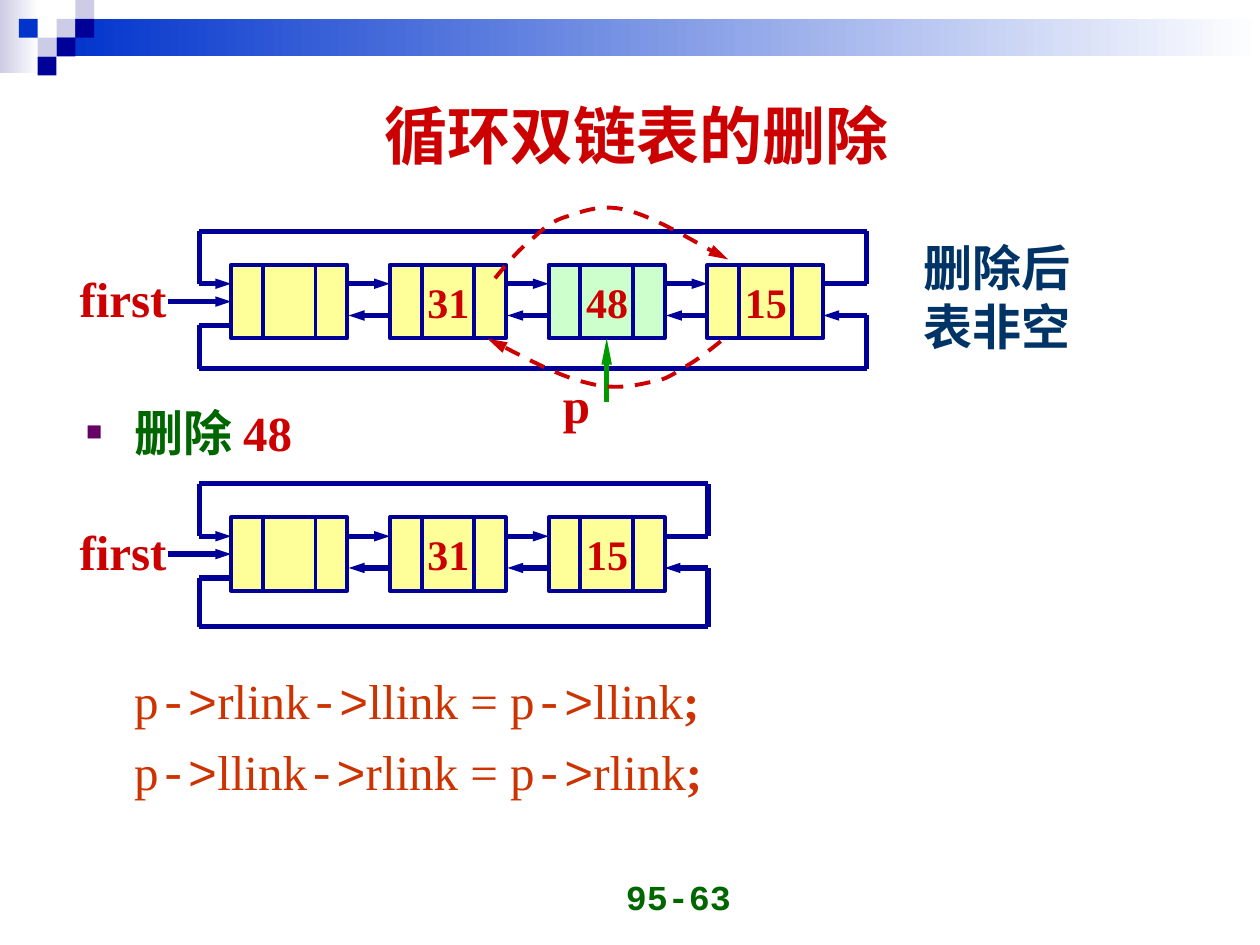
from itertools import pairwise

from lxml.etree import SubElement
from pptx import Presentation
from pptx.dml.color import RGBColor
from pptx.enum.dml import MSO_LINE
from pptx.enum.shapes import MSO_CONNECTOR, MSO_SHAPE
from pptx.enum.text import MSO_ANCHOR, MSO_AUTO_SIZE, PP_ALIGN
from pptx.oxml.ns import qn
from pptx.util import Cm, Pt

COLORS = {
    "navy": "000099", "blue": "0033CC", "lavender": "CCCCE6", "white": "FFFFFF",
    "yellow": "FFFF99", "mint": "CCFFCC", "red": "CC0000", "arrow": "009900",
    "green": "006600", "slate": "003366", "code": "CC3300", "bullet": "660066",
}
SERIF, MONO = "Times New Roman", "Courier New"
NODE_LEFT, NODE_PITCH, NODE_WIDTH, NODE_HEIGHT = 4.66, 3.2, 2.34, 1.48
DIVIDERS = (0.64, 1.7)
NEXT_Y, PREV_Y, RETURN_Y = 0.38, 1.02, 1.22
LOOP_LEFT, LOOP_GAP, LOOP_RISE = 4.02, 0.87, 0.68


def color(name):
    return RGBColor.from_string(COLORS[name])


def add_span(para, text, size, tint, font=SERIF, bold=True):
    span = para.add_run()
    span.text = text
    span.font.size = Pt(size)
    span.font.name = font
    span.font.bold = bold
    span.font.color.rgb = color(tint)


def add_text(page, left, top, width, height, lines, size, tint, font=SERIF,
             align=PP_ALIGN.CENTER, anchor=MSO_ANCHOR.MIDDLE, wrap=False):
    box = page.shapes.add_textbox(Cm(left), Cm(top), Cm(width), Cm(height))
    frame = box.text_frame
    frame.word_wrap = wrap
    frame.auto_size = MSO_AUTO_SIZE.NONE if wrap else MSO_AUTO_SIZE.SHAPE_TO_FIT_TEXT
    frame.vertical_anchor = anchor
    for index, line in enumerate(lines):
        para = frame.add_paragraph() if index else frame.paragraphs[0]
        para.alignment = align
        add_span(para, line, size, tint, font)


def add_box(page, left, top, width, height, fill, fade=False):
    """Add a borderless rectangle; fade runs its colour out to white on the right."""
    box = page.shapes.add_shape(MSO_SHAPE.RECTANGLE, Cm(left), Cm(top), Cm(width), Cm(height))
    box.shadow.inherit = False
    box.line.fill.background()
    if fade:
        box.fill.gradient()
        box.fill.gradient_angle = 0
        for stop, tint in zip(box.fill.gradient_stops, (fill, "white")):
            stop.color.rgb = color(tint)
    else:
        box.fill.solid()
        box.fill.fore_color.rgb = color(fill)
    return box


def add_arrowhead(line, width, length):
    SubElement(line._get_or_add_ln(), qn("a:tailEnd"), type="triangle", w=width, len=length)


def add_line(page, start, end, tint="navy", weight=3, head=None):
    """Join two points; head is the (width, length) of an arrowhead at the end."""
    line = page.shapes.add_connector(
        MSO_CONNECTOR.STRAIGHT, *(Cm(value) for value in (*start, *end)))
    line.line.color.rgb = color(tint)
    line.line.width = Pt(weight)
    SubElement(line._element.spPr, qn("a:effectLst"))
    if head:
        add_arrowhead(line.line, *head)
    return line


def add_route(page, points):
    """Chain lines through the points and end in an arrowhead."""
    steps = list(pairwise(points))
    for start, end in steps[:-1]:
        add_line(page, start, end)
    add_line(page, *steps[-1], head=("sm", "med"))


def add_node(page, left, top, value, fill):
    node = add_box(page, left, top, NODE_WIDTH, NODE_HEIGHT, fill)
    node.line.color.rgb = color("navy")
    node.line.width = Pt(2.25)
    for offset in DIVIDERS:
        x = left + offset
        add_line(page, (x, top), (x, top + NODE_HEIGHT), weight=2.25)
    if value:
        add_text(page, left + 0.5, top + 0.1, 1.36, 1.28, [value], 24, "red")
    return node


def add_ring(page, top, values, bottom, marked=None):
    """Draw a circular doubly linked list and return its nodes."""
    lefts = [NODE_LEFT + NODE_PITCH * index for index in range(len(values))]
    nodes = [add_node(page, left, top, value, "mint" if value == marked else "yellow")
             for left, value in zip(lefts, values)]
    next_y, prev_y, return_y = top + NEXT_Y, top + PREV_Y, top + RETURN_Y
    for left, following in pairwise(lefts):
        right = left + NODE_WIDTH + 0.03
        add_route(page, [(right, next_y), (following, next_y)])
        add_route(page, [(following, prev_y), (right, prev_y)])
    end = lefts[-1] + NODE_WIDTH
    loop_right, loop_top, loop_bottom = end + LOOP_GAP, top - LOOP_RISE, top + bottom
    add_route(page, [(end, next_y), (loop_right, next_y), (loop_right, loop_top),
                     (LOOP_LEFT, loop_top), (LOOP_LEFT, next_y), (NODE_LEFT, next_y)])
    add_route(page, [(NODE_LEFT, return_y), (LOOP_LEFT, return_y), (LOOP_LEFT, loop_bottom),
                     (loop_right, loop_bottom), (loop_right, prev_y), (end, prev_y)])
    middle = top + NODE_HEIGHT / 2
    entry = add_line(page, (3.38, middle), (NODE_LEFT, middle), head=("sm", "med"))
    entry.end_connect(nodes[0], 1)
    add_text(page, 1.35, top - 0.05, 2.26, 1.45, ["first"], 28, "red")
    return nodes


def add_curve(page, *points):
    """Draw a dashed arrow: a start, then three control points to each cubic curve."""
    start, *controls = [(round(x * 100), round(y * 100)) for x, y in points]
    builder = page.shapes.build_freeform(*start, scale=Cm(0.01))
    builder.add_line_segments(controls, close=False)
    curve = builder.convert_to_shape()
    curve.shadow.inherit = False
    curve.fill.background()
    curve.line.color.rgb = color("red")
    curve.line.width = Pt(2.25)
    curve.line.dash_style = MSO_LINE.DASH
    add_arrowhead(curve.line, "med", "lg")
    outline = next(curve._element.iter(qn("a:path")))
    segments = outline.findall(qn("a:lnTo"))
    for index in range(0, len(segments), 3):
        cubic = SubElement(outline, qn("a:cubicBezTo"))
        for segment in segments[index:index + 3]:
            cubic.append(segment[0])
            outline.remove(segment)


def add_banner(page):
    add_box(page, 0, 0, 0.78, 1.47, "lavender", fade=True)
    add_box(page, 1.15, 0.38, 24.25, 0.76, "blue", fade=True)
    tile = 0.38
    for column, row, tint in (
            (3, 1, "lavender"), (4, 0, "lavender"), (4, 1, "navy"), (2, 2, "lavender"),
            (1, 1, "blue"), (3, 2, "navy"), (2, 3, "navy")):
        add_box(page, column * tile, row * tile, tile, tile, tint)


def place(holder, left, top, width, height):
    holder.left, holder.top, holder.width, holder.height = map(Cm, (left, top, width, height))
    holder.text_frame.auto_size = MSO_AUTO_SIZE.NONE


def fill_title(title):
    place(title, 1.4, 1.23, 22.86, 2.95)
    title.text_frame.vertical_anchor = MSO_ANCHOR.MIDDLE
    para = title.text_frame.paragraphs[0]
    para.alignment = PP_ALIGN.CENTER
    add_span(para, "循环双链表的删除", 36, "red")


def format_body_para(para, space, bullet=None):
    para.line_spacing = 1.05
    para.space_before = Pt(space)
    properties = para._p.get_or_add_pPr()
    properties.set("marL", str(Cm(0.97)))
    properties.set("indent", str(Cm(-0.97 if bullet else 0)))
    if bullet:
        tint = SubElement(properties, qn("a:buClr"))
        SubElement(tint, qn("a:srgbClr"), val=COLORS["bullet"])
        SubElement(properties, qn("a:buSzPct"), val="55000")
        SubElement(properties, qn("a:buChar"), char=bullet)
    else:
        SubElement(properties, qn("a:buNone"))


def fill_body(body):
    place(body, 1.48, 7.92, 22.86, 9)
    para = body.text_frame.paragraphs[0]
    format_body_para(para, 0, "■")
    add_span(para, "删除 ", 28, "green")
    add_span(para, "48", 28, "red")
    statements = (("p->rlink->llink = p->llink", 118), ("p->llink->rlink = p->rlink", 5.2))
    for statement, space in statements:
        para = body.text_frame.add_paragraph()
        format_body_para(para, space)
        for index, part in enumerate(statement.split("->")):
            if index:
                add_span(para, "->", 28, "code", MONO, bold=False)
            add_span(para, part, 28, "code", bold=False)
        add_span(para, ";", 28, "code")


def main():
    deck = Presentation()
    deck.slide_width, deck.slide_height = Cm(25.4), Cm(19.05)
    page = deck.slides.add_slide(deck.slide_layouts[1])
    add_banner(page)
    fill_title(page.shapes.title)
    fill_body(page.placeholders[1])

    nodes = add_ring(page, 5.34, ["", "31", "48", "15"], 2.09, marked="48")
    pointer = add_line(page, (12.23, 8.1), (12.23, 6.82), "arrow", head=("sm", "lg"))
    pointer.end_connect(nodes[2], 2)
    add_text(page, 11.1, 7.42, 1.04, 1.45, ["p"], 28, "red")
    add_ring(page, 10.43, ["", "31", "15"], 2.2)

    add_curve(page, (9.98, 5.61), (10.21, 5.33), (10.44, 5.05), (10.69, 4.85),
              (10.92, 4.65), (11.05, 4.5), (11.35, 4.39), (11.68, 4.29), (12.09, 4.09),
              (12.65, 4.24), (13.21, 4.39), (14.35, 5.08), (14.68, 5.23))
    add_curve(page, (14.53, 6.88), (14.27, 7.09), (14.05, 7.26), (13.82, 7.39),
              (13.56, 7.54), (13.46, 7.65), (13.13, 7.7), (12.8, 7.77), (12.4, 7.87),
              (11.84, 7.72), (11.28, 7.59), (10.16, 6.99), (9.83, 6.83))
    add_text(page, 18.37, 4.67, 4.1, 2.7, ["删除后", "表非空"], 28, "slate",
             align=PP_ALIGN.LEFT, anchor=MSO_ANCHOR.TOP, wrap=True)
    add_text(page, 9.07, 17.35, 5.92, 1.27, ["95-63"], 20, "green", MONO,
             align=PP_ALIGN.RIGHT, anchor=MSO_ANCHOR.BOTTOM, wrap=True)
    deck.save("out.pptx")


if __name__ == "__main__":
    main()
